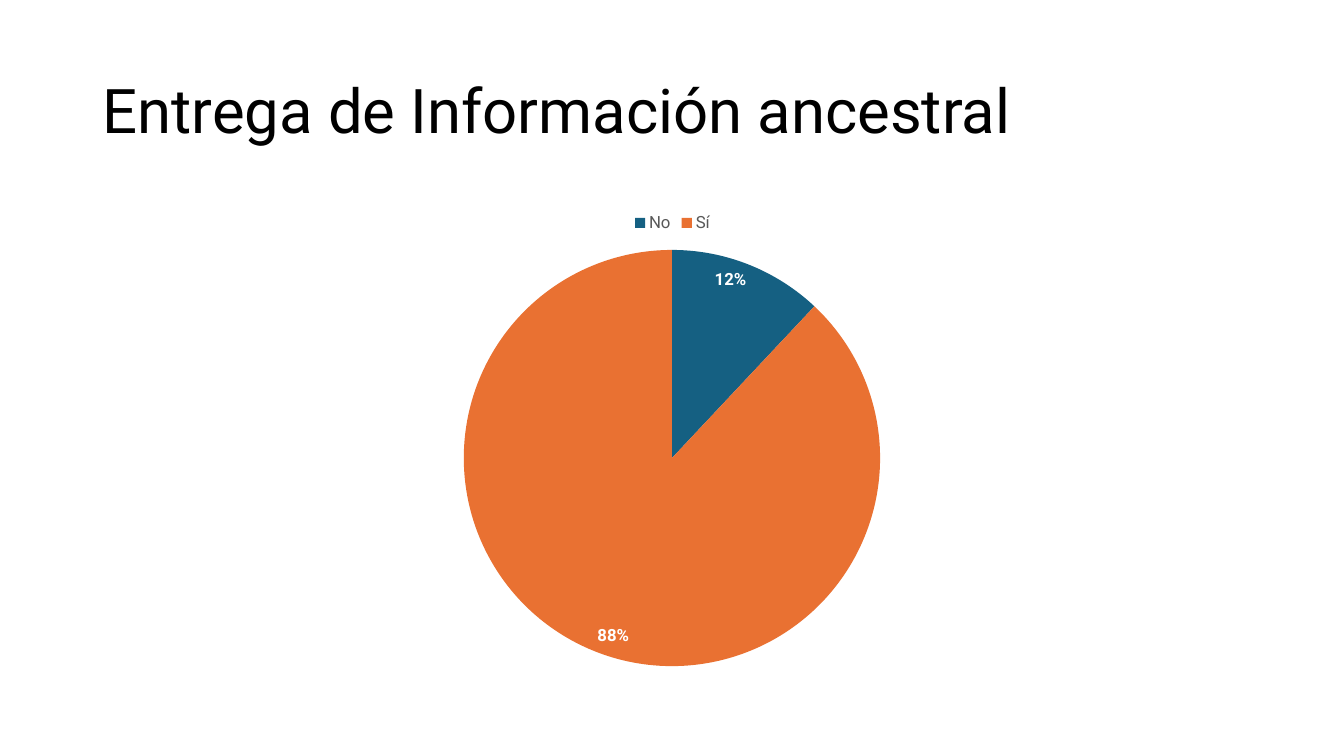
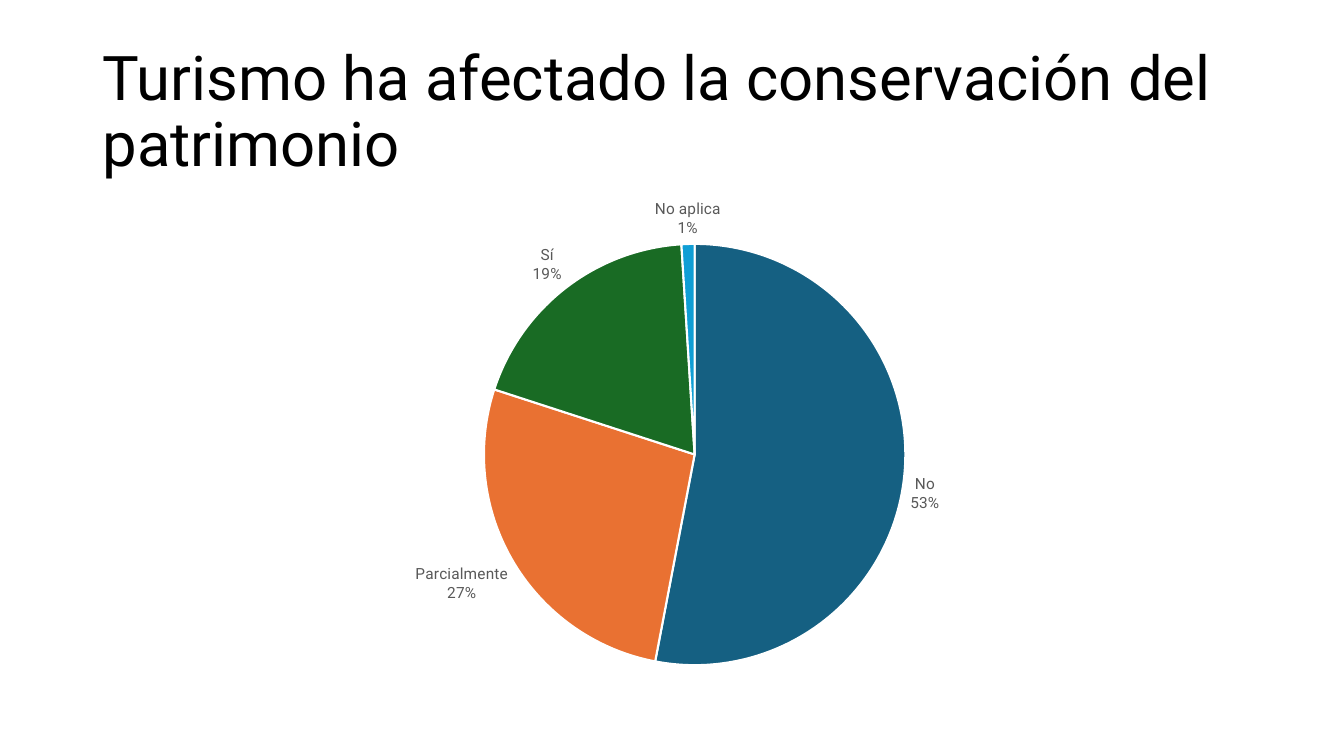
from lxml import etree
from pptx import Presentation
from pptx.chart.data import CategoryChartData
from pptx.dml.color import RGBColor
from pptx.enum import chart as kinds, text
from pptx.oxml import ns
from pptx.util import Inches, Pt

FONT = "Roboto"
BLACK = RGBColor(0x00, 0x00, 0x00)
WHITE = RGBColor(0xFF, 0xFF, 0xFF)
GREY = RGBColor(0x59, 0x59, 0x59)
SLICES = [
    RGBColor(0x15, 0x60, 0x82),
    RGBColor(0xE9, 0x71, 0x32),
    RGBColor(0x19, 0x6B, 0x24),
    RGBColor(0x0F, 0x9E, 0xD5),
]
LEFT, WIDTH = 0.92, 11.5
TITLE_BOX = (LEFT, 0.4, WIDTH, 1.45)


def set_font(font, size, colour, bold=False):
    font.name = FONT
    font.size = Pt(size)
    font.color.rgb = colour
    font.bold = bold


def add_title(page, title, box):
    frame = page.shapes.add_textbox(*map(Inches, box)).text_frame
    frame.word_wrap = True
    frame.vertical_anchor = text.MSO_ANCHOR.MIDDLE
    para = frame.paragraphs[0]
    para.text = title
    para.line_spacing = 0.9
    set_font(para.font, 44, BLACK)


def place_pie(chart, box, pie):
    left, top, width, height = box
    pie_left, pie_top, diameter = pie
    fractions = {
        "x": (pie_left - left) / width,
        "y": (pie_top - top) / height,
        "w": diameter / width,
        "h": diameter / height,
    }
    plot_area = chart.element.xpath("c:chart/c:plotArea")[0]
    for previous in plot_area.xpath("c:layout"):
        plot_area.remove(previous)
    layout = etree.Element(ns.qn("c:layout"))
    manual = etree.SubElement(layout, ns.qn("c:manualLayout"))
    settings = [("layoutTarget", "inner"), ("xMode", "edge"), ("yMode", "edge")]
    settings += [(key, f"{value:.4f}") for key, value in fractions.items()]
    for tag, value in settings:
        etree.SubElement(manual, ns.qn(f"c:{tag}")).set("val", value)
    plot_area.insert(0, layout)


def add_pie(page, box, pie, values):
    data = CategoryChartData()
    data.categories = list(values)
    data.add_series("Series 1", list(values.values()))
    chart = page.shapes.add_chart(
        kinds.XL_CHART_TYPE.PIE, *map(Inches, box), data
    ).chart
    set_font(chart.font, 10, BLACK)
    chart.has_title = False
    chart.has_legend = False
    place_pie(chart, box, pie)
    plot = chart.plots[0]
    plot.vary_by_categories = True
    for index, colour in enumerate(SLICES[:len(values)]):
        fill = plot.series[0].points[index].format.fill
        fill.solid()
        fill.fore_color.rgb = colour
    plot.has_data_labels = True
    labels = plot.data_labels
    labels.show_value = False
    labels.show_percentage = True
    labels.number_format = "0%"
    labels.number_format_is_linked = False
    return chart


def add_legend_slide(deck, title, box, pie, values):
    page = deck.slides.add_slide(deck.slide_layouts[6])
    add_title(page, title, TITLE_BOX)
    chart = add_pie(page, box, pie, values)
    chart.has_legend = True
    chart.legend.position = kinds.XL_LEGEND_POSITION.TOP
    chart.legend.include_in_layout = False
    set_font(chart.legend.font, 12, GREY)
    plot = chart.plots[0]
    for index in range(len(values)):
        plot.series[0].points[index].format.line.fill.background()
    plot.data_labels.position = kinds.XL_LABEL_POSITION.INSIDE_END
    set_font(plot.data_labels.font, 12, WHITE, bold=True)


def add_label_slide(deck, title, box, pie, values):
    page = deck.slides.add_slide(deck.slide_layouts[6])
    add_title(page, title, TITLE_BOX)
    chart = add_pie(page, box, pie, values)
    plot = chart.plots[0]
    for index in range(len(values)):
        line = plot.series[0].points[index].format.line
        line.color.rgb = WHITE
        line.width = Pt(1.5)
    labels = plot.data_labels
    labels.show_category_name = True
    labels.position = kinds.XL_LABEL_POSITION.OUTSIDE_END
    set_font(labels.font, 11, GREY)
    separator = etree.Element(ns.qn("c:separator"))
    separator.text = "\n"
    chart.element.xpath(".//c:dLbls/c:showBubbleSize")[0].addnext(separator)


def main():
    deck = Presentation()
    deck.slide_width = Inches(13.33)
    deck.slide_height = Inches(7.5)
    add_legend_slide(
        deck,
        "Entrega de Información ancestral",
        (LEFT, 2, WIDTH, 4.76),
        (4.6, 2.48, 4.13),
        {"No": 12, "Sí": 88},
    )
    add_label_slide(
        deck,
        "Turismo ha afectado la conservación del patrimonio",
        (LEFT, 1.85, WIDTH, 4.91),
        (4.8, 2.42, 4.18),
        {"No": 53, "Parcialmente": 27, "Sí": 19, "No aplica": 1},
    )
    deck.save("out.pptx")


if __name__ == "__main__":
    main()
